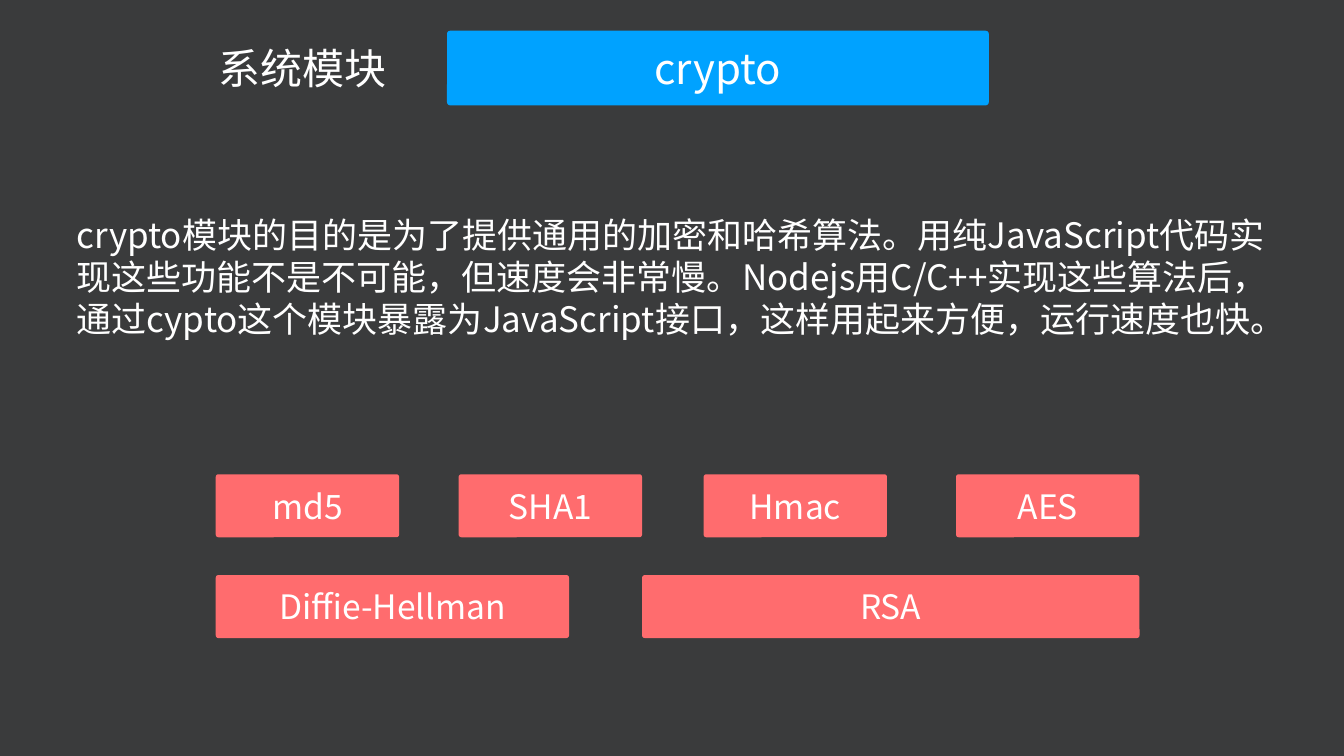
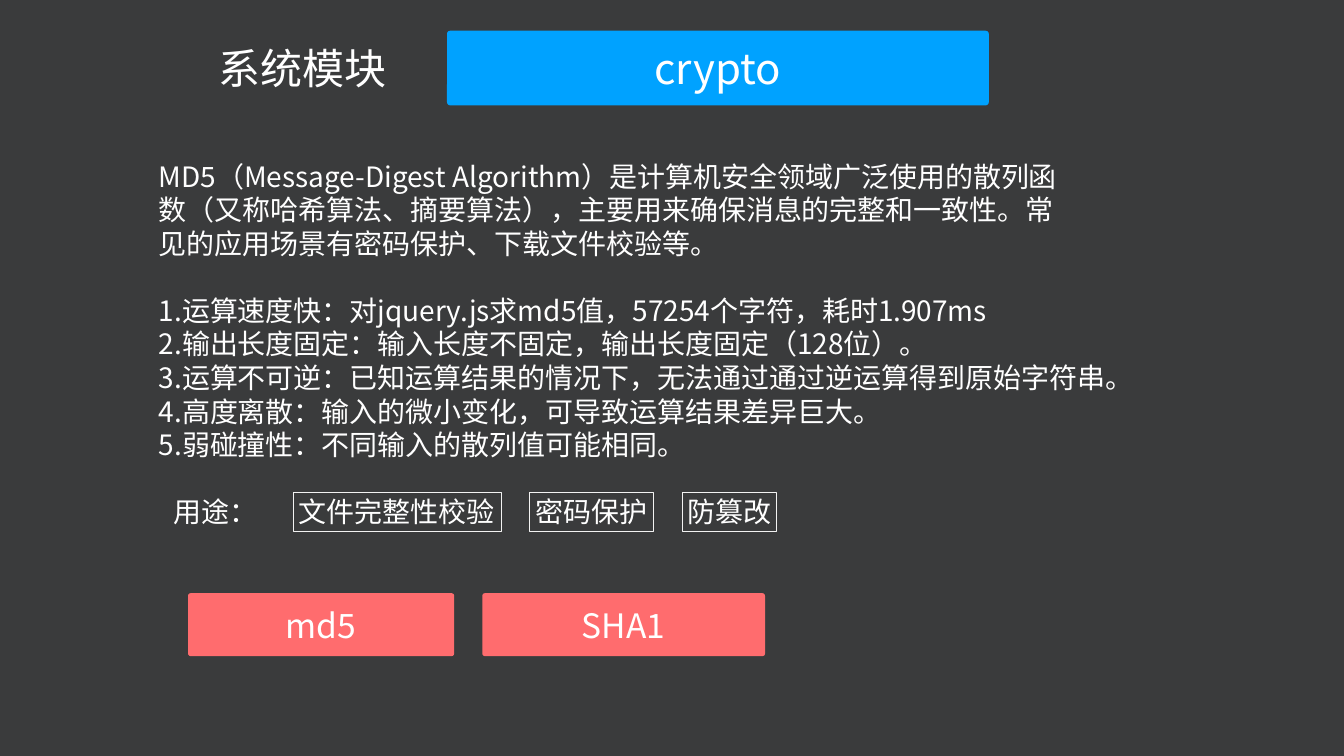
from pptx import Presentation
from pptx.dml.color import RGBColor
from pptx.enum import shapes, text
from pptx.oxml import parse_xml
from pptx.oxml.ns import nsdecls
from pptx.util import Pt

FACE = "Noto Sans CJK SC"
DARK, WHITE, PALE, BLUE, CORAL = "3A3B3C", "FFFFFF", "F2F2F2", "00A2FF", "FF6C6E"
LEFT, MID = text.PP_ALIGN.LEFT, text.PP_ALIGN.CENTER

INTRO = ("crypto模块的目的是为了提供通用的加密和哈希算法。用纯JavaScript代码实现这些功能不是不可能，"
         "但速度会非常慢。Nodejs用C/C++实现这些算法后，通过cypto这个模块暴露为JavaScript接口，"
         "这样用起来方便，运行速度也快。")
DIGEST = ("MD5（Message-Digest Algorithm）是计算机安全领域广泛使用的散列函数（又称哈希算法、摘要算法），"
          "主要用来确保消息的完整和一致性。常见的应用场景有密码保护、下载文件校验等。")
TRAITS = ["运算速度快：对jquery.js求md5值，57254个字符，耗时1.907ms",
          "输出长度固定：输入长度不固定，输出长度固定（128位）。",
          "运算不可逆：已知运算结果的情况下，无法通过通过逆运算得到原始字符串。",
          "高度离散：输入的微小变化，可导致运算结果差异巨大。",
          "弱碰撞性：不同输入的散列值可能相同。"]


def paint(hue):
    """Turn a hex string into a colour."""
    return RGBColor.from_string(hue)


def place(shape, left, top, width, height):
    """Move and size a shape, in points."""
    shape.left, shape.top = Pt(left), Pt(top)
    shape.width, shape.height = Pt(width), Pt(height)


def write(shape, lines, size=40, align=LEFT, pad=(7.2, 3.6), mark="buNone",
          anchor=text.MSO_ANCHOR.MIDDLE):
    """Fill a shape with formatted paragraphs."""
    frame = shape.text_frame
    frame.word_wrap = True
    frame.auto_size = text.MSO_AUTO_SIZE.NONE
    frame.vertical_anchor = anchor
    frame.margin_left = frame.margin_right = Pt(pad[0])
    frame.margin_top = frame.margin_bottom = Pt(pad[1])
    frame.text = "\n".join(lines)
    for para in frame.paragraphs:
        props = para._p.get_or_add_pPr()
        props.set("marL", "0")
        props.set("indent", "0")
        props.append(parse_xml(f"<a:{mark} {nsdecls('a')}/>"))
        para.alignment = align
        para.space_before = Pt(0)
        para.line_spacing = Pt(size * 1.2)
        for run in para.runs:
            run.font.size = Pt(size)
            run.font.color.rgb = paint(WHITE)
            run.font.name = FACE
            east = parse_xml(f'<a:ea {nsdecls("a")} typeface="{FACE}"/>')
            run._r.rPr.find("{*}latin").addnext(east)


def label(slide, words, area, **form):
    """Add a plain text box."""
    box = slide.shapes.add_textbox(0, 0, 0, 0)
    place(box, *area)
    write(box, [words], **form)


def tile(slide, words, area, fill=CORAL, size=48):
    """Add a filled tile with slightly rounded corners."""
    kind = shapes.MSO_SHAPE.ROUNDED_RECTANGLE
    box = slide.shapes.add_shape(kind, *map(Pt, area))
    box.adjustments[0] = 0.042
    box.shadow.inherit = False
    box.fill.solid()
    box.fill.fore_color.rgb = paint(fill)
    box.line.fill.background()
    write(box, [words], size=size, align=MID, pad=(0, 0))


def chip(slide, words, area):
    """Add an outlined box around a short term."""
    box = slide.shapes.add_shape(shapes.MSO_SHAPE.RECTANGLE, *map(Pt, area))
    box.shadow.inherit = False
    box.fill.background()
    box.line.color.rgb = paint(PALE)
    box.line.width = Pt(0.75)
    write(box, [words], align=MID, pad=(0, 3.6))


def row(slide, draw, top, height, cells):
    """Draw a row of boxes given as words, left and width."""
    for words, left, width in cells:
        draw(slide, words, (left, top, width, height))


def page(deck):
    """Add a slide with the shared heading."""
    slide = deck.slides.add_slide(deck.slide_layouts[1])
    place(slide.shapes.title, 308.2, 61.2, 625, 72)
    write(slide.shapes.title, ["系统模块"], size=60, pad=(4.3, 4.3))
    tile(slide, "crypto", (638.6, 43.9, 774, 106.6), fill=BLUE, size=60)
    return slide


def intro(deck):
    """Build the module overview."""
    slide = page(deck)
    body = slide.placeholders[1]
    place(body, 105.1, 269.3, 1709.3, 250.6)
    write(body, [INTRO], size=50, pad=(4.3, 4.3))
    row(slide, tile, 677.5, 90, [
        ("md5", 308.2, 262), ("SHA1", 655.2, 262),
        ("Hmac", 1005.1, 262), ("AES", 1365.8, 262)])
    row(slide, tile, 821.5, 90, [
        ("Diffie-Hellman", 308.2, 504.7), ("RSA", 917.3, 710.6)])


def digest(deck):
    """Build the MD5 details."""
    slide = page(deck)
    top = text.MSO_ANCHOR.TOP
    label(slide, DIGEST, (219.6, 223.9, 1328.4, 152.6), anchor=top)
    body = slide.placeholders[1]
    place(body, 219.6, 415.4, 1419.1, 249.8)
    write(body, TRAITS, mark='buAutoNum type="arabicPeriod"', anchor=top)
    label(slide, "用途：", (241.2, 703.4, 146.2, 55.4))
    row(slide, chip, 703.4, 55.4, [
        ("文件完整性校验", 418.3, 297.4), ("密码保护", 756.7, 176.4),
        ("防篡改", 974.2, 135.4)])
    row(slide, tile, 847.4, 90, [("md5", 268.6, 380.2), ("SHA1", 689, 403.9)])


def main():
    """Build and save the deck."""
    deck = Presentation()
    deck.slide_width, deck.slide_height = Pt(1920), Pt(1080)
    back = deck.slide_master.background.fill
    back.solid()
    back.fore_color.rgb = paint(DARK)
    intro(deck)
    digest(deck)
    deck.save("out.pptx")


if __name__ == "__main__":
    main()
